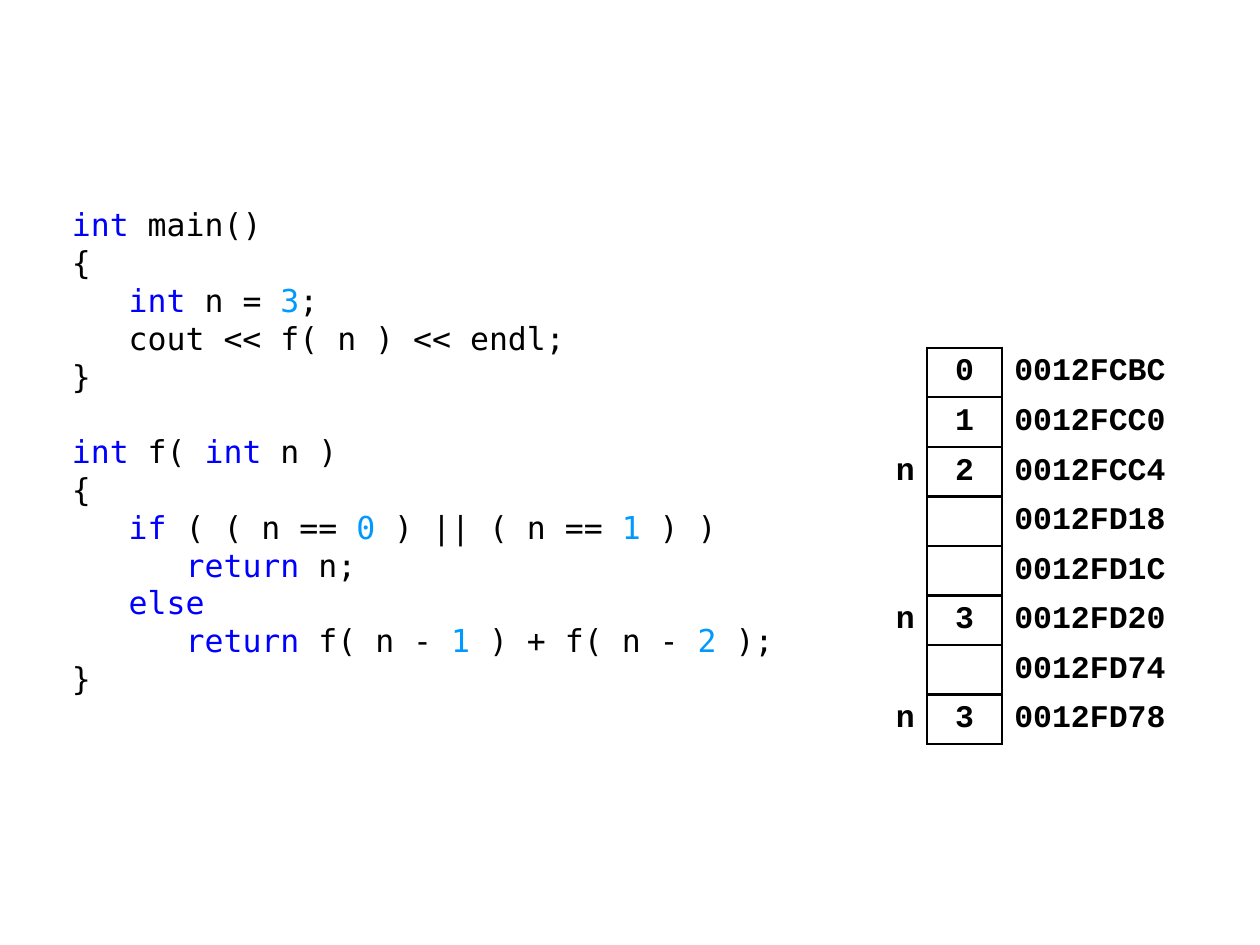
"""Build a slide showing recursive code beside its call stack memory."""
from dataclasses import dataclass
from itertools import groupby

from lxml import etree
from pptx import Presentation
from pptx.dml.color import RGBColor
from pptx.enum.text import MSO_ANCHOR, PP_ALIGN
from pptx.oxml.ns import qn
from pptx.util import Inches, Pt

LEFT, CENTER, RIGHT = PP_ALIGN.LEFT, PP_ALIGN.CENTER, PP_ALIGN.RIGHT
TOP, MIDDLE = MSO_ANCHOR.TOP, MSO_ANCHOR.MIDDLE
BLACK = RGBColor(0x00, 0x00, 0x00)
KEYWORD_BLUE = RGBColor(0x00, 0x00, 0xFF)
NUMBER_BLUE = RGBColor(0x00, 0x99, 0xFF)
CODE_FONT, MEMORY_FONT = "DejaVu Sans Mono", "Courier New"
TEXT_SIZE = Pt(18)
LINE_HEIGHT = Pt(21.6)
BORDER_WIDTH = Pt(1.5)
PLAIN_TABLE_STYLE = "{2D5ABB26-0587-4C30-8999-92F81FD0307C}"
KEYWORDS = {"int", "if", "else", "return"}
CODE = """int main()
{
   int n = 3;
   cout << f( n ) << endl;
}

int f( int n )
{
   if ( ( n == 0 ) || ( n == 1 ) )
      return n;
   else
      return f( n - 1 ) + f( n - 2 );
}"""
EMPTY_ROWS = 3
COLUMN_WIDTHS = (0.39, 0.59, 1.38)
ALIGNMENTS = (RIGHT, CENTER, LEFT)
COLUMN_BORDERS = ("R", "LRTB", "L")


@dataclass
class MemoryWord:
    name: str
    value: str
    address: str


STACK = [
    MemoryWord("", "0", "0012FCBC"),
    MemoryWord("", "1", "0012FCC0"),
    MemoryWord("n", "2", "0012FCC4"),
    MemoryWord("", "", "0012FD18"),
    MemoryWord("", "", "0012FD1C"),
    MemoryWord("n", "3", "0012FD20"),
    MemoryWord("", "", "0012FD74"),
    MemoryWord("n", "3", "0012FD78"),
]


def add_span(para, text: str, font_name: str, color: RGBColor, bold: bool = False) -> None:
    span = para.add_run()
    span.text = text
    span.font.name = font_name
    span.font.size = TEXT_SIZE
    span.font.bold = bold
    span.font.color.rgb = color


def token_color(token: str) -> RGBColor:
    if token in KEYWORDS:
        return KEYWORD_BLUE
    return NUMBER_BLUE if token.isdigit() else BLACK


def fill_code(box) -> None:
    box.left, box.top = Inches(0.47), Inches(1.58)
    box.width, box.height = Inches(5.91), Inches(4.13)
    frame = box.text_frame
    frame.word_wrap = True
    frame.vertical_anchor = TOP
    for index, line in enumerate(CODE.split("\n")):
        para = frame.add_paragraph() if index else frame.paragraphs[0]
        properties = para._p.get_or_add_pPr()
        properties.set("marL", "0")
        properties.set("indent", "0")
        etree.SubElement(properties, qn("a:buNone"))
        para.alignment = LEFT
        para.space_before = para.space_after = Pt(0)
        para.line_spacing = LINE_HEIGHT
        para.font.size = TEXT_SIZE
        tokens = ["".join(group) for _, group in groupby(line, str.isalnum)]
        for color, group in groupby(tokens, token_color):
            add_span(para, "".join(group), CODE_FONT, color)


def add_borders(cell, sides: str) -> None:
    properties = cell._tc.get_or_add_tcPr()
    for side in sides:
        line = etree.SubElement(properties, qn(f"a:ln{side}"), w=str(BORDER_WIDTH))
        fill = etree.SubElement(line, qn("a:solidFill"))
        etree.SubElement(fill, qn("a:srgbClr"), val=str(BLACK))


def fill_cell(cell, text: str, alignment: PP_ALIGN, sides: str) -> None:
    add_borders(cell, sides)
    cell.fill.background()
    cell.vertical_anchor = MIDDLE
    cell.margin_left = Inches(0.1)
    cell.margin_right = Inches(0.08) if alignment == LEFT else Inches(0.1)
    cell.margin_top = cell.margin_bottom = Inches(0.04)
    para = cell.text_frame.paragraphs[0]
    para.alignment = alignment
    para.font.size = TEXT_SIZE
    if text:
        add_span(para, text, MEMORY_FONT, BLACK, bold=True)


def add_memory_table(page) -> None:
    rows = EMPTY_ROWS + len(STACK)
    table = page.shapes.add_table(
        rows, len(COLUMN_WIDTHS), Inches(6.97), Inches(1.58),
        Inches(sum(COLUMN_WIDTHS)), Inches(4.33),
    ).table
    table.first_row = table.horz_banding = False
    table._tbl.tblPr.find(qn("a:tableStyleId")).text = PLAIN_TABLE_STYLE
    for column, width in zip(table.columns, COLUMN_WIDTHS):
        column.width = Inches(width)
    for row in range(rows):
        word = STACK[row - EMPTY_ROWS] if row >= EMPTY_ROWS else None
        texts = (word.name, word.value, word.address) if word else ("", "", "")
        for column, text in enumerate(texts):
            sides = COLUMN_BORDERS[column] if word else ""
            if row == EMPTY_ROWS - 1 and column == 1:
                sides = "B"
            fill_cell(table.cell(row, column), text, ALIGNMENTS[column], sides)


def main() -> None:
    deck = Presentation()
    deck.slide_width, deck.slide_height = Inches(10), Inches(7.5)
    page = deck.slides.add_slide(deck.slide_layouts[1])
    title = page.shapes.title
    title.element.getparent().remove(title.element)
    fill_code(page.placeholders[1])
    add_memory_table(page)
    deck.save("out.pptx")


if __name__ == "__main__":
    main()
